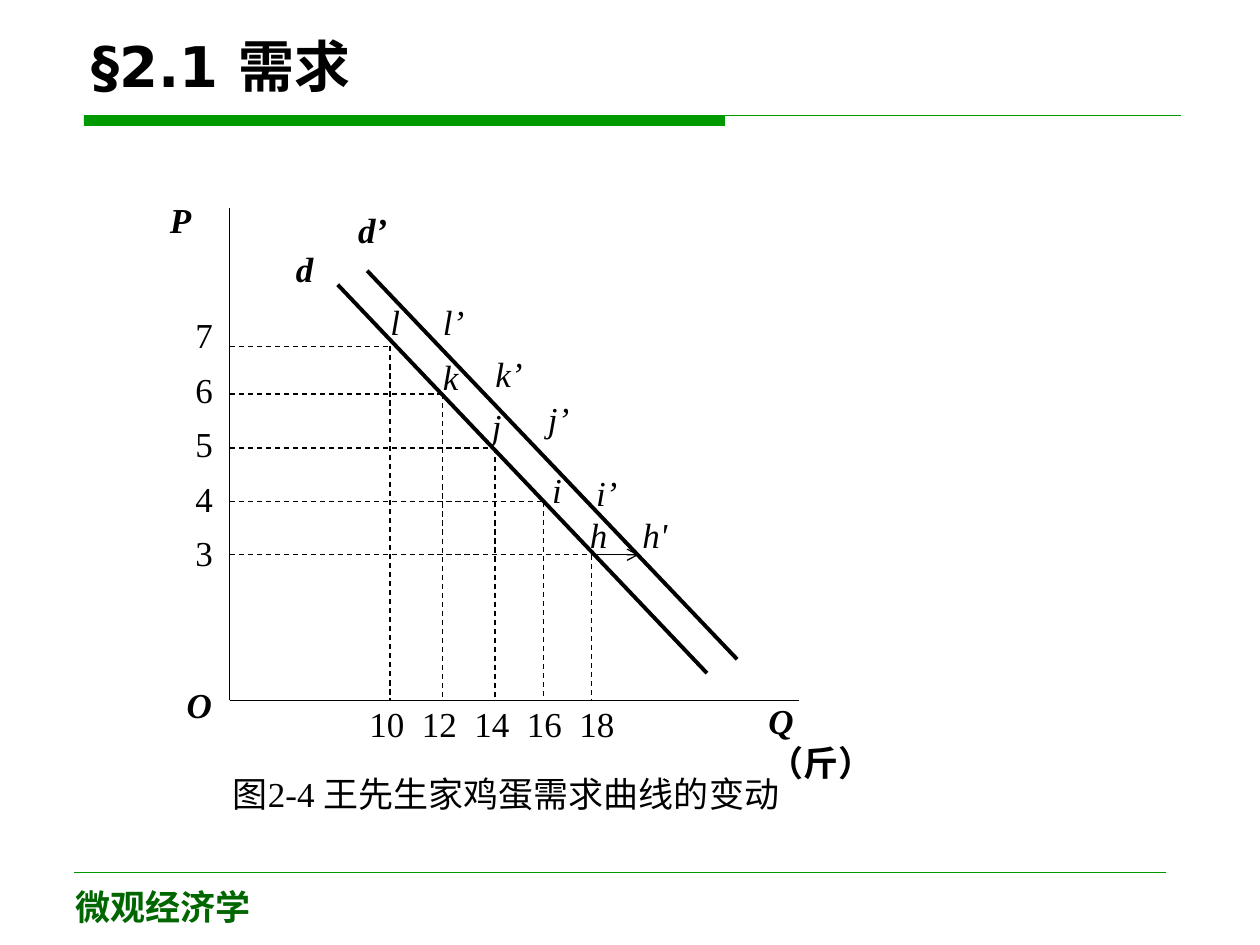
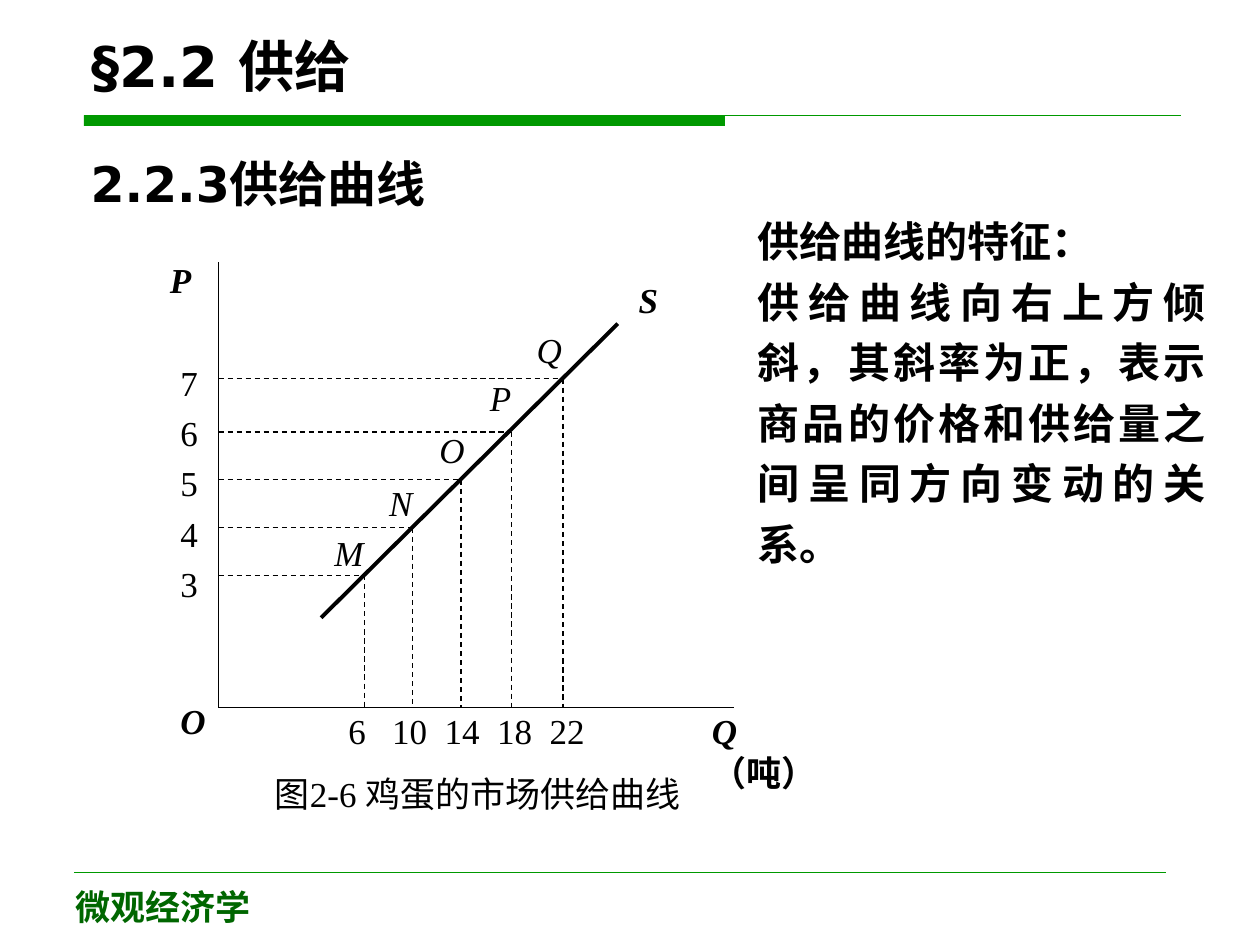
from pptx import Presentation
from pptx.dml.color import RGBColor
from pptx.enum.dml import MSO_LINE_DASH_STYLE as Dash
from pptx.enum.shapes import MSO_CONNECTOR as Connector, MSO_SHAPE as Shape
from pptx.enum.text import MSO_ANCHOR as Anchor, MSO_AUTO_SIZE as AutoSize, PP_ALIGN as Align
from pptx.oxml.ns import qn
from pptx.util import Pt
from lxml.etree import SubElement

BLACK, GREEN, DARK_GREEN = "000000", "009900", "006600"
SANS, SERIF = "DejaVu Sans", "Times New Roman"
PRICES = "7\n6\n5\n4\n3"
TICK_START, TICK_STEP = 20, 30


def color(hex_code):
    return RGBColor.from_string(hex_code)


def style(frame, size=20, font=SERIF, ink=BLACK, bold=False, italic=False,
          align=Align.LEFT, spacing=None):
    for paragraph in frame.paragraphs:
        paragraph.alignment = align
        paragraph.line_spacing = spacing
        paragraph.space_before = Pt(0)
        paragraph._p.get_or_add_pPr().set("hangingPunct", "0")
        for run in paragraph.runs:
            run.font.size = Pt(size)
            run.font.name = font
            run.font.bold = bold
            run.font.italic = italic
            run.font.color.rgb = color(ink)


def write(slide, text, left, top, width=40, height=40, **look):
    box = slide.shapes.add_textbox(Pt(left), Pt(top), Pt(width), Pt(height))
    frame = box.text_frame
    frame.word_wrap = True
    frame.text = text
    style(frame, **look)
    return frame


def draw_line(slide, start, end, weight=0.75, ink=BLACK, dashed=False, arrow=False):
    line = slide.shapes.add_connector(
        Connector.STRAIGHT, *(Pt(value) for value in (*start, *end)))
    line.line.color.rgb = color(ink)
    line.line.width = Pt(weight)
    if dashed:
        line.line.dash_style = Dash.DASH
    if arrow:
        SubElement(line.line._get_or_add_ln(), qn("a:tailEnd"), type="arrow")
    SubElement(line._element.spPr, qn("a:effectLst"))


def fill_placeholder(holder, text, left, top, width, height, anchor, size):
    holder.left, holder.top = Pt(left), Pt(top)
    holder.width, holder.height = Pt(width), Pt(height)
    frame = holder.text_frame
    frame.auto_size = AutoSize.NONE
    frame.vertical_anchor = anchor
    frame.text = text
    properties = frame.paragraphs[0]._p.get_or_add_pPr()
    properties.set("marL", "0")
    properties.set("indent", "0")
    SubElement(properties, qn("a:buNone"))
    style(frame, size, SANS, bold=True)


def start_slide(deck, layout, heading):
    slide = deck.slides.add_slide(deck.slide_layouts[layout])
    fill_placeholder(slide.shapes.title, heading, 45.2, 12.2, 630, 48, Anchor.BOTTOM, 32)
    band = slide.shapes.add_shape(Shape.RECTANGLE, Pt(48), Pt(66), Pt(366.3), Pt(6))
    band.shadow.inherit = False
    band.fill.solid()
    band.fill.fore_color.rgb = color(GREEN)
    band.line.fill.background()
    draw_line(slide, (48, 66), (674.6, 66), ink=GREEN)
    draw_line(slide, (42.2, 498.2), (666, 498.2), weight=0.25, ink=GREEN)
    write(slide, "微观经济学", 36, 502.5, 180, 37.5, font=SANS, ink=DARK_GREEN, bold=True)
    return slide


def draw_diagram(slide, box, origin, axes, points, curves, curve_names, point_names,
                 unit, prices, quantities, caption):
    left, top = box

    def at(x, y):
        return left + x, top + y

    origin_x, origin_y = origin
    axis_length, axis_height = axes
    draw_line(slide, at(*origin), at(origin_x + axis_length, origin_y))
    draw_line(slide, at(*origin), at(origin_x, origin_y - axis_height))
    for right, up in points:
        x, y = origin_x + right, origin_y - up
        draw_line(slide, at(origin_x, y), at(x, y), dashed=True)
        draw_line(slide, at(x, y), at(x, origin_y), dashed=True)
    for start, end in curves:
        draw_line(slide, at(*start), at(*end), weight=2.25)

    for name, x, y in curve_names:
        write(slide, name, *at(x, y), bold=True, italic=True)
    for name, x, y in point_names:
        write(slide, name, *at(x, y), italic=True)
    unit_text, x, y = unit
    axis_name = write(slide, "Q", *at(x, y), 88, bold=True, italic=True)
    unit_run = axis_name.paragraphs[0].add_run()
    unit_run.text = unit_text
    unit_run.font.size = Pt(20)
    unit_run.font.name = SERIF
    unit_run.font.bold = True
    unit_run.font.color.rgb = color(BLACK)

    x, y, spacing = prices
    write(slide, PRICES, *at(x, y), 40, 200, spacing=spacing)
    values, x, y = quantities
    scale = write(slide, "".join(f"\t{value}" for value in values), *at(x, y), 190)
    stops = SubElement(scale.paragraphs[0]._p.get_or_add_pPr(), qn("a:tabLst"))
    for index in range(len(values)):
        position = Pt(TICK_START + TICK_STEP * index)
        SubElement(stops, qn("a:tab"), pos=str(int(position)), algn="ctr")
    text, x, y, width = caption
    write(slide, text, *at(x, y), width)


def demand_slide(deck):
    slide = start_slide(deck, 5, "§2.1 需求")
    left, top = 90, 110
    draw_diagram(
        slide, (left, top), origin=(41.3, 290.2), axes=(325, 281.3),
        points=[(91.5, 202.3), (121.5, 175), (151.5, 144.1), (179.4, 113.6), (206.6, 83.2)],
        curves=[((103, 52.7), (314, 274.7)), ((119.8, 44.7), (331.2, 266.7))],
        curve_names=[("P", 0, 0), ("O", 9.5, 276.8), ("d", 72, 28), ("d’", 107.5, 5.4)],
        point_names=[("l", 126, 58), ("k", 156, 89.5), ("j", 184, 117.5),
                     ("i", 218.4, 154), ("h", 240, 179.8),
                     ("l’", 156, 58), ("k’", 186, 88), ("j’", 216, 113.3),
                     ("i’", 243.5, 155.8), ("h'", 270, 179.8)],
        unit=("（斤）", 342, 286), prices=(14.5, 58.4, 1.3),
        quantities=((10, 12, 14, 16, 18), 104, 287.8),
        caption=("图2-4 王先生家鸡蛋需求曲线的变动", 36, 328, 352))
    draw_line(slide, (left + 247.9, top + 207), (left + 275, top + 207), arrow=True)


def supply_slide(deck):
    slide = start_slide(deck, 1, "§2.2 供给")
    fill_placeholder(slide.placeholders[1], "2.2.3供给曲线", 44.6, 84, 630, 54, Anchor.TOP, 28)
    draw_diagram(
        slide, (90, 144), origin=(34.9, 260.5), axes=(294.7, 255),
        points=[(83.2, 75.8), (110.8, 103), (138.6, 130.5), (167.3, 157.7), (196.8, 188.2)],
        curves=[((93.5, 209), (263, 41))],
        curve_names=[("P", 0, 0), ("O", 6, 252), ("S", 267.8, 11.8)],
        point_names=[("M", 94, 156), ("N", 125.2, 127.5), ("O", 154, 97.3),
                     ("P", 182.8, 67.5), ("Q", 209.5, 40)],
        unit=("（吨）", 309.7, 258), prices=(6, 54, 1.2),
        quantities=((6, 10, 14, 18, 22), 87, 258),
        caption=("图2-6 鸡蛋的市场供给曲线", 60, 294, 272))
    write(slide, "供给曲线的特征：\n供给曲线向右上方倾斜，其斜率为正，"
          "表示商品的价格和供给量之间呈同方向变动的关系。",
          426, 114, 270, 180, size=24, bold=True, align=Align.JUSTIFY, spacing=1.2)


def main():
    deck = Presentation()
    deck.slide_width, deck.slide_height = Pt(720), Pt(540)
    demand_slide(deck)
    supply_slide(deck)
    deck.save("out.pptx")


if __name__ == "__main__":
    main()
